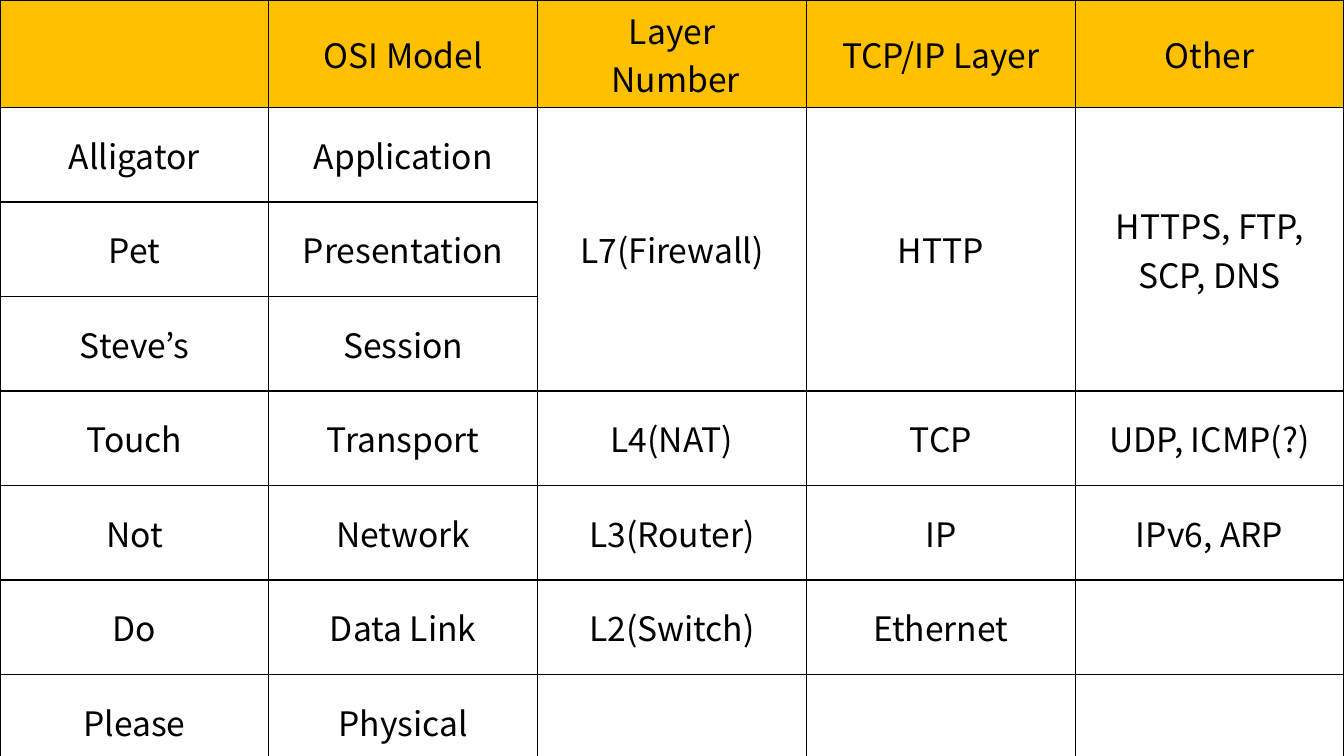
"""Build a one-slide table that maps the OSI model to TCP/IP layers."""
import lxml.etree
import pptx
import pptx.dml.color
import pptx.enum.text
import pptx.oxml.ns
import pptx.util

HEADERS = ["", "OSI Model", "Layer\n Number", "TCP/IP Layer", "Other"]
LAYERS = [
    ["Alligator", "Application", "L7(Firewall)", "HTTP", "HTTPS, FTP, SCP, DNS"],
    ["Pet", "Presentation", "", "", ""],
    ["Steve’s", "Session", "", "", ""],
    ["Touch", "Transport", "L4(NAT)", "TCP", "UDP, ICMP(?)"],
    ["Not", "Network", "L3(Router)", "IP", "IPv6, ARP"],
    ["Do", "Data Link", "L2(Switch)", "Ethernet", ""],
    ["Please", "Physical", "", "", ""],
]
MERGED_COLUMNS = [2, 3, 4]
MERGED_ROWS = (1, 3)
COLORS = {"header": "FFC000", "text": "000000", "border": "000000"}
FONT = "Noto Sans CJK KR"
FONT_SIZE = pptx.util.Pt(24)
BORDER_WIDTH = pptx.util.Pt(1)
SLIDE_WIDTH = pptx.util.Inches(13.33)
SLIDE_HEIGHT = pptx.util.Inches(7.5)


def add_borders(cell):
    """Draw a solid line on all four sides of a cell."""
    properties = cell._tc.get_or_add_tcPr()
    for side in ("a:lnL", "a:lnR", "a:lnT", "a:lnB"):
        line = lxml.etree.SubElement(
            properties, pptx.oxml.ns.qn(side), w=str(BORDER_WIDTH))
        fill = lxml.etree.SubElement(line, pptx.oxml.ns.qn("a:solidFill"))
        lxml.etree.SubElement(
            fill, pptx.oxml.ns.qn("a:srgbClr"), val=COLORS["border"])


def format_cell(cell, text, is_header):
    """Set the text, borders and fill of a cell."""
    add_borders(cell)
    if is_header:
        cell.fill.solid()
        cell.fill.fore_color.rgb = pptx.dml.color.RGBColor.from_string(COLORS["header"])
    else:
        cell.fill.background()
    cell.vertical_anchor = pptx.enum.text.MSO_ANCHOR.MIDDLE
    cell.text_frame.text = text
    for paragraph in cell.text_frame.paragraphs:
        paragraph.alignment = pptx.enum.text.PP_ALIGN.CENTER
        for run in paragraph.runs:
            run.font.name = FONT
            run.font.size = FONT_SIZE
            run.font.color.rgb = pptx.dml.color.RGBColor.from_string(COLORS["text"])


def main():
    """Create the presentation and save it."""
    presentation = pptx.Presentation()
    presentation.slide_width = SLIDE_WIDTH
    presentation.slide_height = SLIDE_HEIGHT
    slide = presentation.slides.add_slide(presentation.slide_layouts[6])

    rows = [HEADERS] + LAYERS
    table = slide.shapes.add_table(
        len(rows), len(HEADERS), 0, 0, SLIDE_WIDTH, SLIDE_HEIGHT).table
    table.first_row = False
    table.horz_banding = False
    for row_index, row in enumerate(rows):
        for column_index, text in enumerate(row):
            format_cell(table.cell(row_index, column_index), text, row_index == 0)

    first_row, last_row = MERGED_ROWS
    for column in MERGED_COLUMNS:
        table.cell(first_row, column).merge(table.cell(last_row, column))

    presentation.save("out.pptx")


if __name__ == "__main__":
    main()
